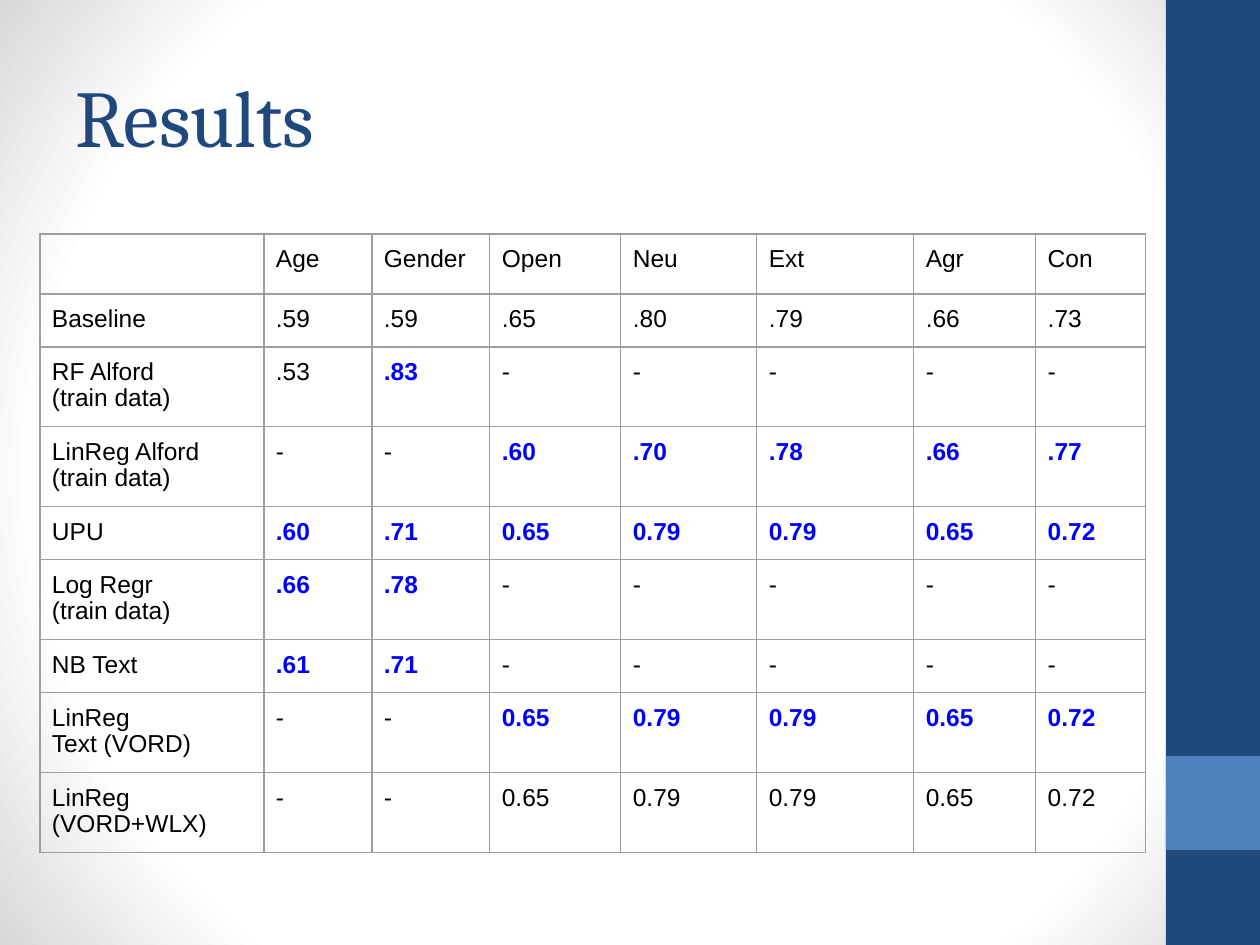
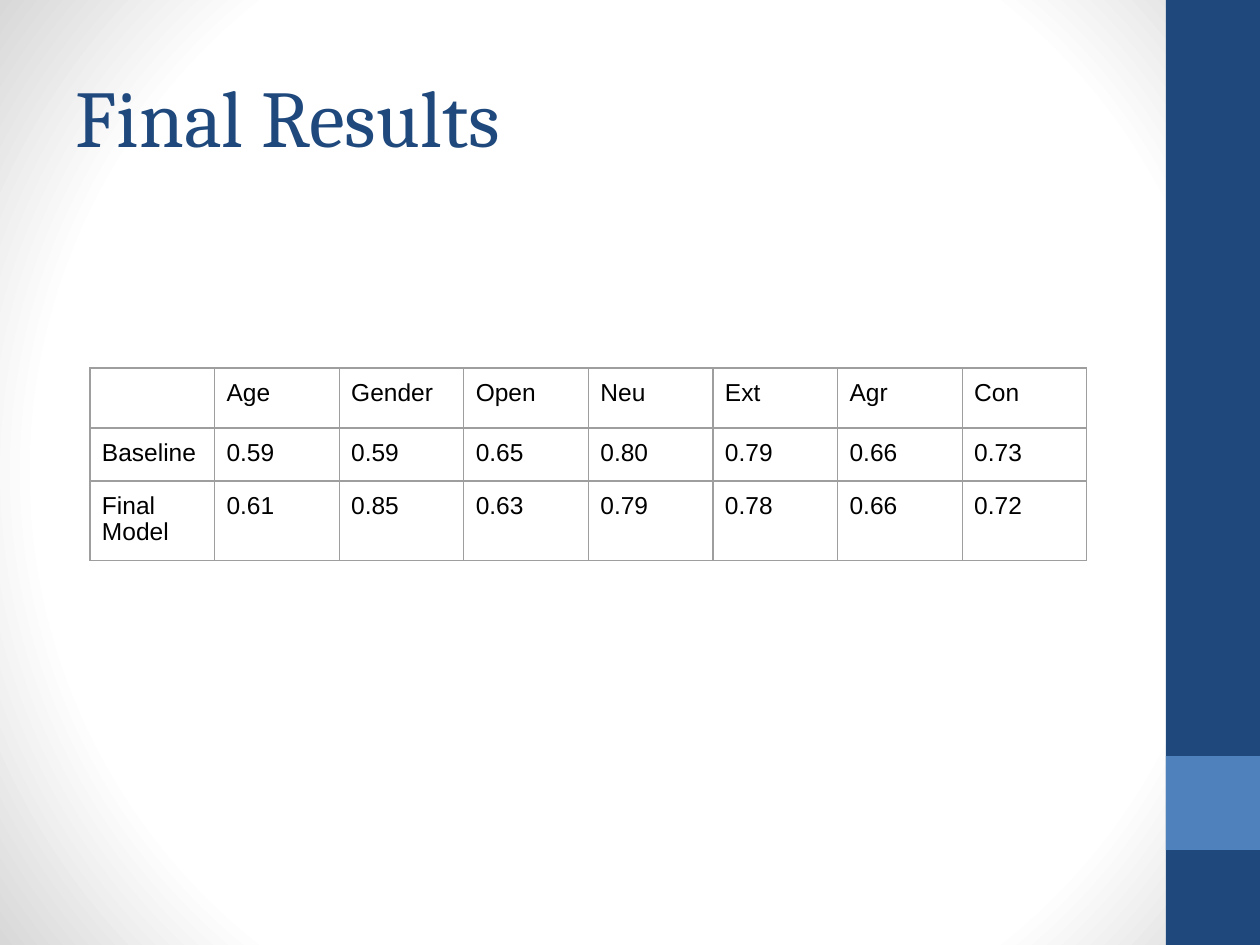
import dataclasses

import pptx
import pptx.dml.color
import pptx.enum.shapes
import pptx.enum.text
import pptx.oxml
import pptx.oxml.ns
import pptx.util

PIXEL = 914400 / 126
SLIDE_WIDTH, SLIDE_HEIGHT = 1260, 945
BAND_BOX = (1166, 0, 94, 945)
TITLE_BOX = (64, 35, 1050, 157)
NAMESPACES = pptx.oxml.ns.nsdecls("a", "p")


@dataclasses.dataclass(frozen=True)
class Theme:
    navy: str = "1F497D"
    blue: str = "4F81BD"
    highlight: str = "0000FF"
    ink: str = "000000"
    border: str = "9E9E9E"
    paper: str = "FFFFFF"
    vignette: str = "D8D8D8"
    title_font: str = "Cambria"
    body_font: str = "Arial"
    title_size: int = 46
    body_size: int = 14
    body_spacing: float = 0.97
    border_width: float = 0.75


THEME = Theme()
TRAITS = ("", "Age", "Gender", "Open", "Neu", "Ext", "Agr", "Con")
HEADER = (60, TRAITS, ())
NO_VALUES = ("-",) * 5
TEXT_VALUES = ("0.65", "0.79", "0.79", "0.65", "0.72")
DEMOGRAPHICS = range(1, 3)
PERSONALITY = range(3, 8)

MODEL_ROWS = (
    HEADER,
    (53, ("Baseline", ".59", ".59", ".65", ".80", ".79", ".66", ".73"), ()),
    (80, ("RF Alford\n(train data)", ".53", ".83", *NO_VALUES), (2,)),
    (80, ("LinReg Alford\n(train data)", "-", "-", ".60", ".70", ".78", ".66", ".77"), PERSONALITY),
    (53, ("UPU", ".60", ".71", *TEXT_VALUES), range(1, 8)),
    (80, ("Log Regr\n(train data)", ".66", ".78", *NO_VALUES), DEMOGRAPHICS),
    (53, ("NB Text", ".61", ".71", *NO_VALUES), DEMOGRAPHICS),
    (80, ("LinReg\nText (VORD)", "-", "-", *TEXT_VALUES), PERSONALITY),
    (80, ("LinReg\n(VORD+WLX)", "-", "-", *TEXT_VALUES), ()),
)
FINAL_ROWS = (
    HEADER,
    (53, ("Baseline", "0.59", "0.59", "0.65", "0.80", "0.79", "0.66", "0.73"), ()),
    (80, ("Final Model", "0.61", "0.85", "0.63", "0.79", "0.78", "0.66", "0.72"), ()),
)


def px(length):
    return pptx.util.Emu(round(length * PIXEL))


def color(value):
    return pptx.dml.color.RGBColor.from_string(value)


def write_text(text_frame, text, font=THEME.body_font, size=THEME.body_size, ink=THEME.ink,
               bold=False, spacing=THEME.body_spacing):
    for index, line in enumerate(text.split("\n")):
        paragraph = text_frame.add_paragraph() if index else text_frame.paragraphs[0]
        paragraph.line_spacing = spacing
        run = paragraph.add_run()
        run.text = line
        run.font.name = font
        run.font.size = pptx.util.Pt(size)
        run.font.bold = bold
        run.font.color.rgb = color(ink)


def set_margins(holder):
    holder.margin_left = holder.margin_right = holder.margin_top = px(12)
    holder.margin_bottom = px(8)


def add_background(slide):
    stops = "".join(
        f'<a:gs pos="{position}"><a:srgbClr val="{value}"/></a:gs>'
        for position, value in ((0, THEME.paper), (75000, THEME.paper), (100000, THEME.vignette))
    )
    background = pptx.oxml.parse_xml(
        f'<p:bg {NAMESPACES}><p:bgPr><a:gradFill rotWithShape="1"><a:gsLst>{stops}</a:gsLst>'
        '<a:path path="circle"><a:fillToRect l="50000" t="50000" r="50000" b="50000"/></a:path>'
        "</a:gradFill><a:effectLst/></p:bgPr></p:bg>"
    )
    slide.element.cSld.insert(0, background)


def add_rectangle(slide, left, top, width, height, fill):
    shape = slide.shapes.add_shape(
        pptx.enum.shapes.MSO_SHAPE.RECTANGLE, px(left), px(top), px(width), px(height)
    )
    shape.shadow.inherit = False
    shape.fill.solid()
    shape.fill.fore_color.rgb = color(fill)
    shape.line.fill.background()


def add_side_band(slide, box):
    left, top, width, height = box
    add_rectangle(slide, left, top, width, height, THEME.navy)
    add_rectangle(slide, left, top + height * 0.8, width, width, THEME.blue)


def add_title(slide, box, title):
    text_frame = slide.shapes.add_textbox(*map(px, box)).text_frame
    text_frame.word_wrap = True
    text_frame.vertical_anchor = pptx.enum.text.MSO_ANCHOR.MIDDLE
    set_margins(text_frame)
    write_text(text_frame, title, font=THEME.title_font, size=THEME.title_size, ink=THEME.navy, spacing=1.0)


def add_borders(cell):
    properties = cell._tc.get_or_add_tcPr()
    for side in "LRTB":
        properties.append(pptx.oxml.parse_xml(
            f'<a:ln{side} {NAMESPACES} w="{pptx.util.Pt(THEME.border_width)}"><a:solidFill>'
            f'<a:srgbClr val="{THEME.border}"/></a:solidFill></a:ln{side}>'
        ))


def add_results_table(slide, left, top, width, rows, column_shares):
    height = sum(row_height for row_height, _, _ in rows)
    table = slide.shapes.add_table(
        len(rows), len(TRAITS), px(left), px(top), px(width), px(height)
    ).table
    table.first_row = table.horz_banding = False
    for column, share in zip(table.columns, column_shares):
        column.width = px(width * share / sum(column_shares))
    for row, (row_height, texts, highlighted) in zip(table.rows, rows):
        row.height = px(row_height)
        for index, (cell, text) in enumerate(zip(row.cells, texts)):
            add_borders(cell)
            cell.fill.background()
            if text:
                set_margins(cell)
                strong = index in highlighted
                write_text(cell.text_frame, text, bold=strong, ink=THEME.highlight if strong else THEME.ink)


def add_results_slide(presentation, title, left, top, width, rows, column_shares):
    slide = presentation.slides.add_slide(presentation.slide_layouts[6])
    add_background(slide)
    add_side_band(slide, BAND_BOX)
    add_title(slide, TITLE_BOX, title)
    add_results_table(slide, left, top, width, rows, column_shares)


def main():
    presentation = pptx.Presentation()
    presentation.slide_width = px(SLIDE_WIDTH)
    presentation.slide_height = px(SLIDE_HEIGHT)
    add_results_slide(
        presentation, "Results", 40, 234, 1106, MODEL_ROWS, (224, 108, 118, 131, 136, 157, 122, 110)
    )
    add_results_slide(presentation, "Final Results", 90, 368, 997, FINAL_ROWS, (1,) * len(TRAITS))
    presentation.save("out.pptx")


if __name__ == "__main__":
    main()
